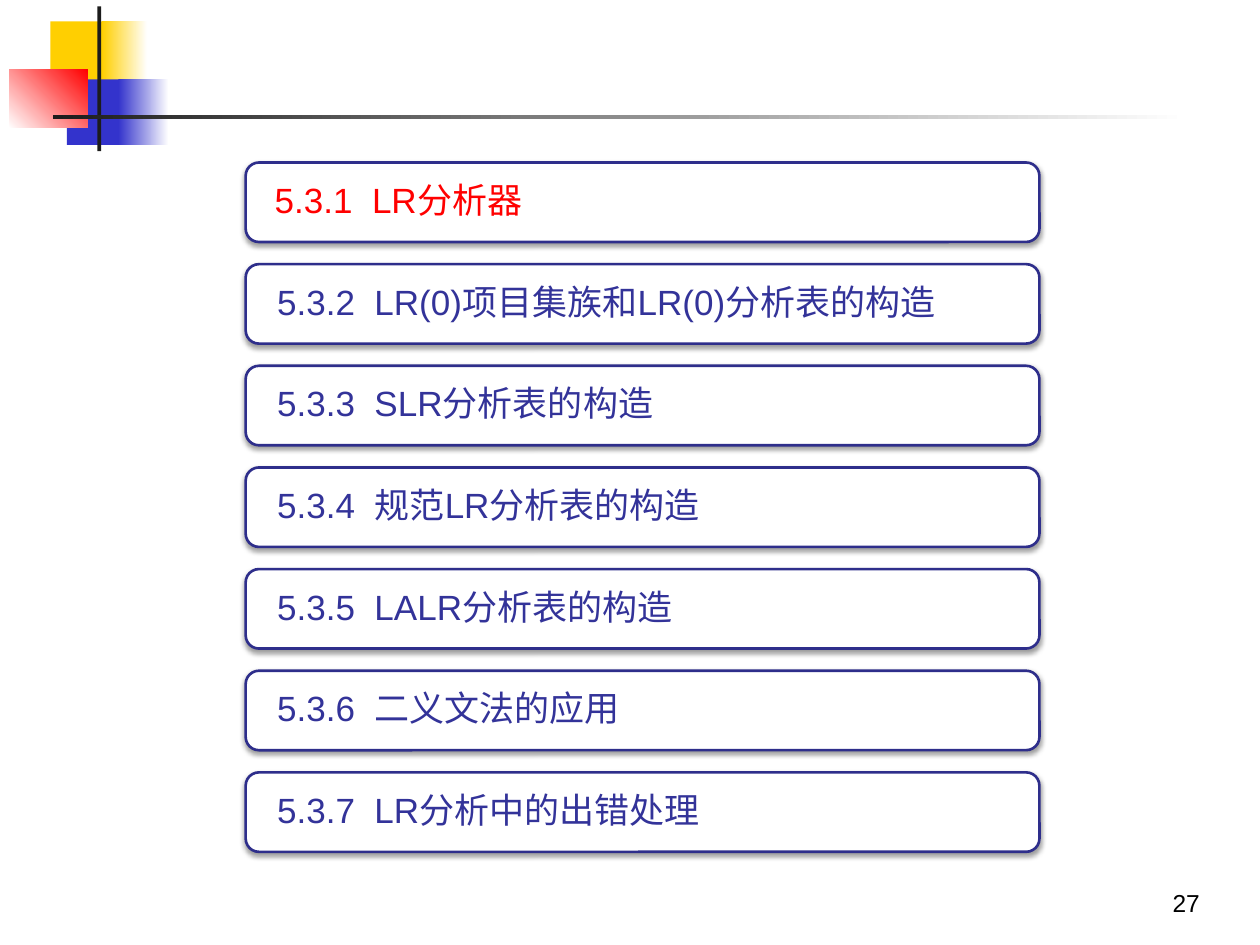
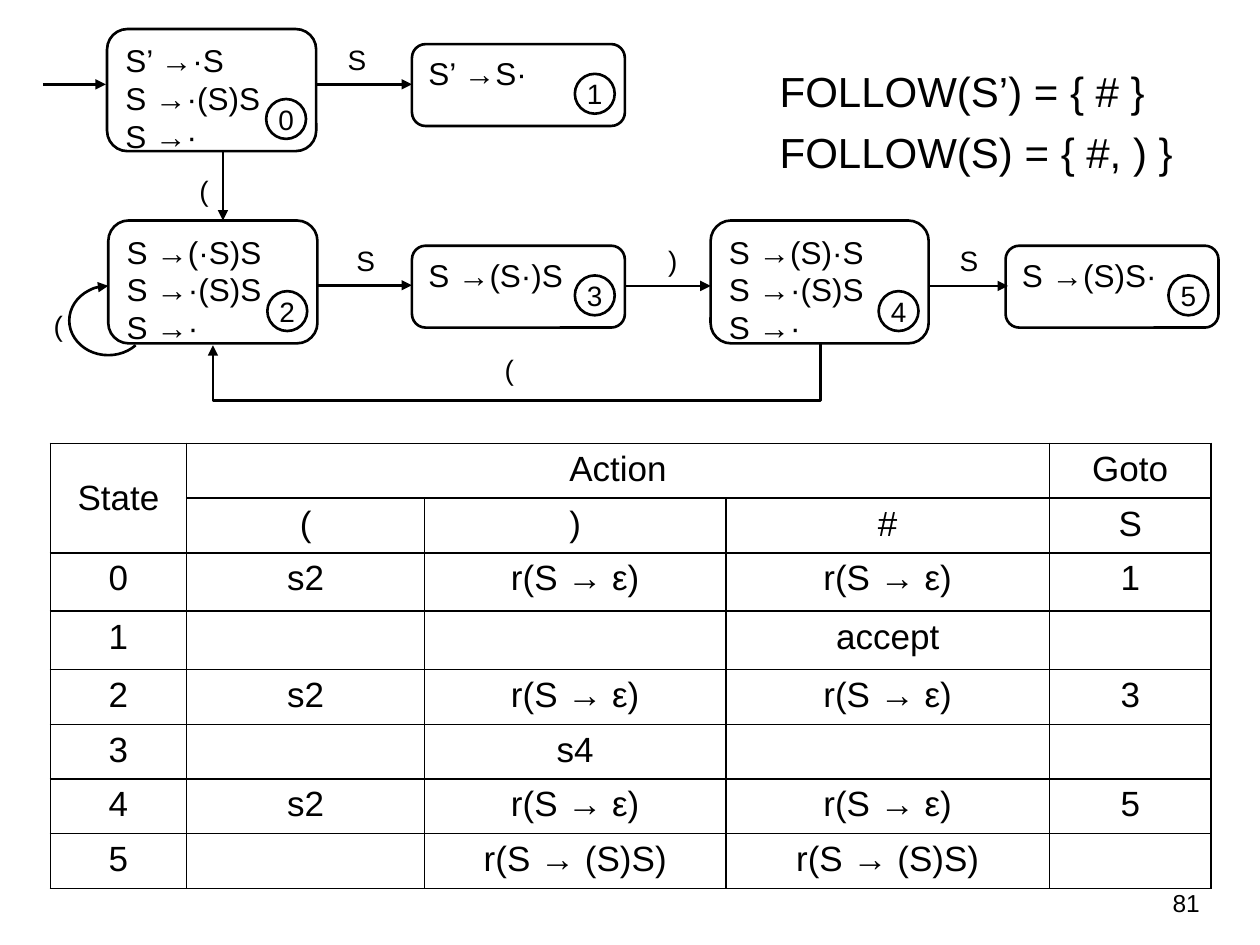
from lxml import etree
from pptx import Presentation
from pptx.dml.color import RGBColor
from pptx.enum.shapes import MSO_CONNECTOR, MSO_SHAPE
from pptx.enum.text import MSO_ANCHOR, PP_ALIGN
from pptx.oxml.ns import qn
from pptx.util import Pt

RECT, ROUND = MSO_SHAPE.RECTANGLE, MSO_SHAPE.ROUNDED_RECTANGLE
OVAL, ARC = MSO_SHAPE.OVAL, MSO_SHAPE.ARC
STRAIGHT = MSO_CONNECTOR.STRAIGHT
LEFT, CENTER, RIGHT = PP_ALIGN.LEFT, PP_ALIGN.CENTER, PP_ALIGN.RIGHT
TOP, MIDDLE, BOTTOM = MSO_ANCHOR.TOP, MSO_ANCHOR.MIDDLE, MSO_ANCHOR.BOTTOM

FONT = "Arial"
COLORS = {
    "black": "000000", "white": "FFFFFF", "ink": "1C1C1C",
    "gold": "FFCF01", "blue": "3333CC", "red": "FF0000",
    "navy": "2E2E8B", "text": "333399",
}
INSET = (7.2, 3.6, 7.2, 3.6)
NONE = (0, 0, 0, 0)


def rgb(name):
    return RGBColor.from_string(COLORS[name])


def node(parent, tag, **attrs):
    return etree.SubElement(parent, qn(tag), attrs)


class Deck:
    def __init__(self):
        self.prs = Presentation()
        self.prs.slide_width, self.prs.slide_height = Pt(720), Pt(540)
        self.slide = None

    def page(self, number):
        self.slide = self.prs.slides.add_slide(self.prs.slide_layouts[6])
        self.label(542.9, 491.8, 149.8, 36, [number], 14,
                   align=RIGHT, anchor=BOTTOM, inset=INSET)

    def put(self, frame, lines, size, color="black", align=LEFT,
            anchor=TOP, inset=INSET, before=0, pitch=None):
        frame.word_wrap = True
        frame.vertical_anchor = anchor
        (frame.margin_left, frame.margin_top,
         frame.margin_right, frame.margin_bottom) = map(Pt, inset)
        for i, line in enumerate(lines):
            par = frame.add_paragraph() if i else frame.paragraphs[0]
            par.text = line
            self.style(par, size, color, align)
            par.space_before = Pt(before)
            if pitch:
                par.line_spacing = pitch

    def style(self, par, size, color="black", align=CENTER):
        par.alignment = align
        par.font.name, par.font.size = FONT, Pt(size)
        par.font.color.rgb = rgb(color)

    def label(self, x, y, w, h, lines, size, **look):
        box = self.slide.shapes.add_textbox(Pt(x), Pt(y), Pt(w), Pt(h))
        self.put(box.text_frame, lines, size, **look)

    def shape(self, kind, x, y, w, h, fill="white", line="black"):
        shp = self.slide.shapes.add_shape(kind, Pt(x), Pt(y), Pt(w), Pt(h))
        self.paint(shp, fill, line)
        return shp

    def paint(self, shp, fill, line):
        shp.shadow.inherit = False
        if fill:
            shp.fill.solid()
            shp.fill.fore_color.rgb = rgb(fill)
        else:
            shp.fill.background()
        if line:
            self.stroke(shp, line)
        else:
            shp.line.fill.background()

    def stroke(self, shp, color="black"):
        shp.line.color.rgb = rgb(color)
        shp.line.width = Pt(1.5)

    def fade(self, x, y, w, h, start, end, angle=0):
        shp = self.shape(RECT, x, y, w, h, line=None)
        shp.fill.gradient()
        shp.fill.gradient_angle = angle
        for stop, name in zip(shp.fill.gradient_stops, (start, end)):
            stop.color.rgb = rgb(name)

    def glow(self, shp):
        effects = shp._element.spPr.find(qn("a:effectLst"))
        shade = node(effects, "a:outerShdw", blurRad=str(Pt(3.1)),
                     dist=str(Pt(1.6)), dir="5400000", rotWithShape="0")
        node(node(shade, "a:srgbClr", val=COLORS["black"]),
             "a:alpha", val="38000")

    def head(self, shp):
        node(shp._element.spPr.get_or_add_ln(), "a:tailEnd", type="triangle")

    def arrow(self, x1, y1, x2, y2):
        line = self.slide.shapes.add_connector(
            STRAIGHT, Pt(x1), Pt(y1), Pt(x2), Pt(y2))
        self.stroke(line)
        self.head(line)
        node(line._element.spPr, "a:effectLst")

    def route(self, points):
        start, *rest = [(Pt(x), Pt(y)) for x, y in points]
        form = self.slide.shapes.build_freeform(*start, scale=1.0)
        form.add_line_segments(rest, close=False)
        shp = form.convert_to_shape()
        self.paint(shp, None, "black")
        self.head(shp)

    def loop(self, x, y, w, h, start, end):
        arc = self.shape(ARC, x, y, w, h, fill=None)
        for i, angle in enumerate((start, end)):
            arc.adjustments[i] = angle * 0.6  # 60000 units a degree
        self.head(arc)

    def state(self, number, x, y, w, h, items):
        box = self.shape(ROUND, x, y, w, h)
        self.put(box.text_frame, items, 18)
        size = 22.8
        disc = self.shape(OVAL, x + w - size - 5.8, y + h - size - 7,
                          size, size)
        self.put(disc.text_frame, [str(number)], 16, align=CENTER,
                 anchor=MIDDLE, inset=NONE)

    def table(self, x, y, cols, rows, data, merges):
        grid = self.slide.shapes.add_table(
            len(rows), len(cols), Pt(x), Pt(y),
            Pt(sum(cols)), Pt(sum(rows))).table
        grid.first_row = grid.horz_banding = False
        for col, width in zip(grid.columns, cols):
            col.width = Pt(width)
        for r, (height, values) in enumerate(zip(rows, data)):
            grid.rows[r].height = Pt(height)
            for c, value in enumerate(values):
                self.cell(grid.cell(r, c), value)
        for first, last in merges:
            grid.cell(*first).merge(grid.cell(*last))
            grid.cell(*first).vertical_anchor = (
                MIDDLE if last[0] > first[0] else TOP)

    def cell(self, cell, value):
        cell.text = value
        self.style(cell.text_frame.paragraphs[0], 20)
        props = cell._tc.get_or_add_tcPr()
        for side in ("a:lnL", "a:lnR", "a:lnT", "a:lnB"):
            fill = node(node(props, side, w=str(Pt(1))), "a:solidFill")
            node(fill, "a:srgbClr", val=COLORS["black"])
        cell.fill.solid()
        cell.fill.fore_color.rgb = rgb("white")


TOPICS = [
    "5.3.1  LR分析器",
    "5.3.2  LR(0)项目集族和LR(0)分析表的构造",
    "5.3.3  SLR分析表的构造",
    "5.3.4  规范LR分析表的构造",
    "5.3.5  LALR分析表的构造",
    "5.3.6  二义文法的应用",
    "5.3.7  LR分析中的出错处理",
]


def outline(deck):
    deck.page("27")
    # Corner blocks and rules
    deck.shape(RECT, 28.8, 12.2, 34.6, 37.4, "gold", None)
    deck.fade(58.3, 12.2, 25.9, 37.4, "gold", "white")
    deck.shape(RECT, 38.2, 45.4, 33.1, 37.4, "blue", None)
    deck.fade(67.7, 45.4, 28.8, 37.4, "blue", "white")
    deck.fade(5.2, 39.6, 45, 33.5, "white", "red", 45)
    deck.shape(RECT, 55.6, 3.6, 2.3, 82.8, "ink", None)
    deck.fade(30.3, 65.6, 648, 2.3, "ink", "white")
    # Topic bars, the current one in red
    for i, topic in enumerate(TOPICS):
        bar = deck.shape(ROUND, 140.4, 92.9 + 58.08 * i, 453.6, 45.4,
                         line="navy")
        deck.glow(bar)
        side = 15.8 if i else 14.4
        deck.put(bar.text_frame, [topic], 20, "text" if i else "red",
                 anchor=MIDDLE, inset=(side, 0, side, 0), pitch=0.9)


STATES = [
    (61.2, 16.6, 119.5, 69.8, ["S’ →·S", "S →·(S)S", "S →·"]),
    (235.4, 25.2, 121.7, 46.8, ["S’ →S·"]),
    (61.9, 126, 119.5, 70.2, ["S →(·S)S", "S →·(S)S", "S →·"]),
    (235.4, 140.4, 121.7, 46.8, ["S →(S·)S"]),
    (406.1, 126, 124.6, 70.2, ["S →(S)·S", "S →·(S)S", "S →·"]),
    (574.6, 140.4, 121.7, 46.8, ["S →(S)S·"]),
]
ARROWS = [
    (24.5, 48.2, 60.5, 48.2), (181.4, 48.2, 235.4, 48.2),
    (181.4, 163, 235.4, 163), (357.8, 163.4, 406.1, 163.4),
    (531.4, 163.4, 576, 163.4), (127.4, 87.1, 127.4, 126),
]
# Symbol and centre of each edge label
EDGES = [
    ("S", 204, 34), ("S", 209, 148.5), (")", 384.5, 148.5),
    ("S", 553.7, 148.5), ("(", 116.6, 108.7), ("(", 33.3, 186),
    ("(", 291, 211),
]
EPS, PAIR = "r(S → ε)", "r(S → (S)S)"
PARSE = [
    ["State", "Action", "", "", "Goto"],
    ["", "(", ")", "#", "S"],
    ["0", "s2", EPS, EPS, "1"],
    ["1", "", "", "accept", ""],
    ["2", "s2", EPS, EPS, "3"],
    ["3", "", "s4", "", ""],
    ["4", "s2", EPS, EPS, "5"],
    ["5", "", PAIR, PAIR, ""],
]


def automaton(deck):
    deck.page("81")
    # States and moves
    for number, state in enumerate(STATES):
        deck.state(number, *state)
    for ends in ARROWS:
        deck.arrow(*ends)
    deck.loop(39.6, 163.4, 44.6, 39.6, 42, 270)
    deck.route([(468.7, 196.6), (468.7, 229), (121.7, 229), (121.7, 197.3)])
    for sign, x, y in EDGES:
        deck.label(x - 10, y - 10, 20, 20, [sign], 16, align=CENTER,
                   anchor=MIDDLE, inset=NONE)
    # Follow sets
    deck.label(438.5, 33.8, 264.2, 71.3,
               ["FOLLOW(S’) = { # }", "FOLLOW(S) = { #, ) }"], 24, before=6)
    # Parse table
    rows = [31.2] * 2 + [33.4] * 2 + [31.2] * 4
    deck.table(28.8, 253.4, [77.8, 136.1, 172.1, 185, 92.2], rows, PARSE,
               [((0, 0), (1, 0)), ((0, 1), (0, 3))])


def main():
    deck = Deck()
    outline(deck)
    automaton(deck)
    deck.prs.save("out.pptx")


if __name__ == "__main__":
    main()
